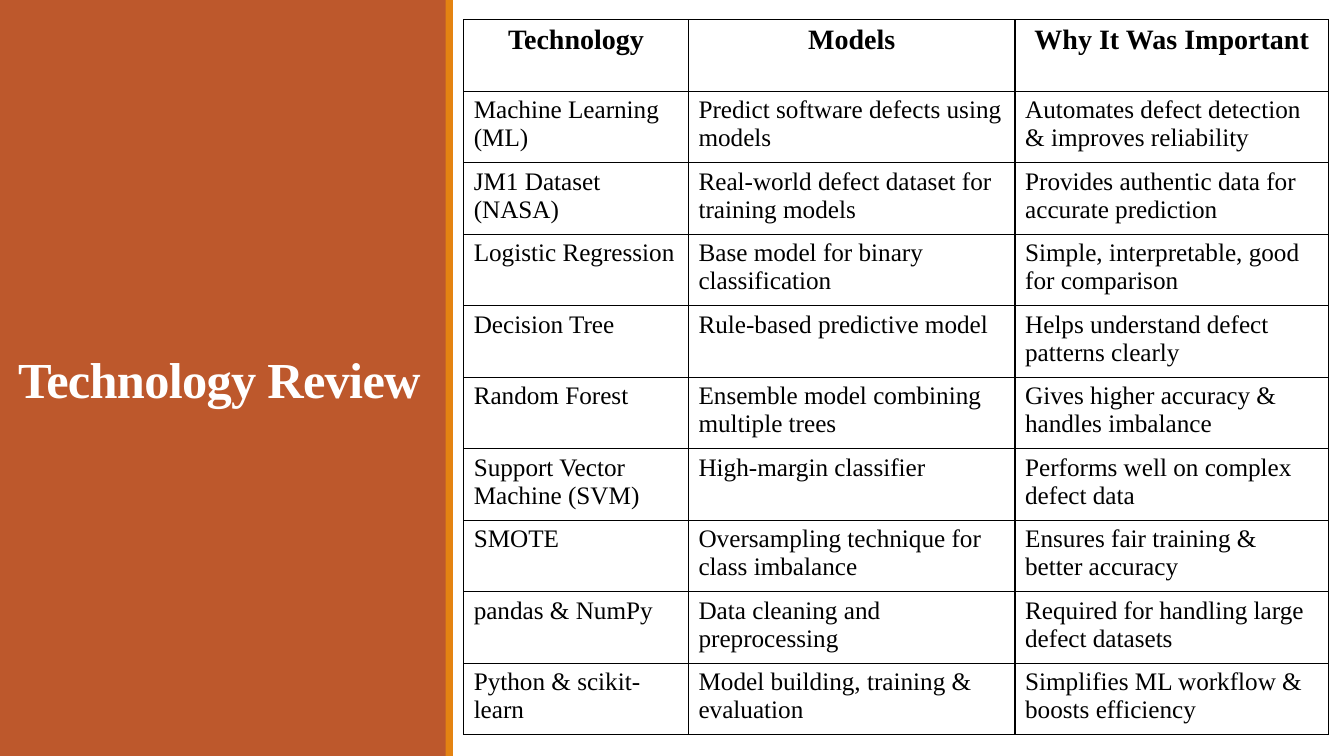
from lxml.etree import SubElement
from pptx import Presentation
from pptx.dml.color import RGBColor
from pptx.enum.shapes import MSO_SHAPE
from pptx.enum.text import MSO_ANCHOR, PP_ALIGN
from pptx.oxml import parse_xml
from pptx.oxml.ns import nsdecls, qn
from pptx.util import Pt

TITLE = "Technology Review"
HEADINGS = ("Technology", "Models", "Why It Was Important")
TECHNOLOGIES = [
    ("Machine Learning (ML)", "Predict software defects using models",
     "Automates defect detection & improves reliability"),
    ("JM1 Dataset (NASA)", "Real-world defect dataset for training models",
     "Provides authentic data for accurate prediction"),
    ("Logistic Regression", "Base model for binary classification",
     "Simple, interpretable, good for comparison"),
    ("Decision Tree", "Rule-based predictive model",
     "Helps understand defect patterns clearly"),
    ("Random Forest", "Ensemble model combining multiple trees",
     "Gives higher accuracy & handles imbalance"),
    ("Support Vector Machine (SVM)", "High-margin classifier",
     "Performs well on complex defect data"),
    ("SMOTE", "Oversampling technique for class imbalance",
     "Ensures fair training & better accuracy"),
    ("pandas & NumPy", "Data cleaning and preprocessing",
     "Required for handling large defect datasets"),
    ("Python & scikit-learn", "Model building, training & evaluation",
     "Simplifies ML workflow & boosts efficiency"),
]

RUST = RGBColor(0xBD, 0x58, 0x2C)
ORANGE = RGBColor(0xE4, 0x83, 0x12)
WHITE = RGBColor(0xFF, 0xFF, 0xFF)
BLACK = RGBColor(0, 0, 0)

FONT = "Times New Roman"
TITLE_FORMAT = {"name": FONT, "size": Pt(36), "bold": True}
HEADING_FORMAT = {"name": FONT, "size": Pt(20), "bold": True}
BODY_FORMAT = {"name": FONT, "size": Pt(18), "bold": False}

SLIDE_WIDTH, SLIDE_HEIGHT = 960, 540
PANELS = [(0, 319, RUST), (318.4, 5.2, ORANGE)]
TITLE_BOX = (5.8, 191.5, 313.9, 146.2)
TABLE_LEFT, TABLE_TOP = 331.2, 14.1
COLUMN_WIDTHS = (160.6, 233.3, 223.8)
ROW_HEIGHT = 51.1


def apply_format(font, values, color):
    for attribute, value in values.items():
        setattr(font, attribute, value)
    font.color.rgb = color


def add_panel(slide, left, width, color):
    panel = slide.shapes.add_shape(
        MSO_SHAPE.RECTANGLE, Pt(left), 0, Pt(width), Pt(SLIDE_HEIGHT))
    panel.shadow.inherit = False
    panel.fill.solid()
    panel.fill.fore_color.rgb = color
    panel.line.fill.background()


def add_title(slide):
    frame = slide.shapes.add_textbox(*map(Pt, TITLE_BOX)).text_frame
    frame.word_wrap = True
    frame.vertical_anchor = MSO_ANCHOR.BOTTOM
    frame.margin_bottom = Pt(46)
    paragraph = frame.paragraphs[0]
    paragraph.line_spacing = 0.85
    run = paragraph.add_run()
    run.text = TITLE
    apply_format(run.font, TITLE_FORMAT, WHITE)
    run._r.get_or_add_rPr().set("spc", "-50")


def add_borders(cell):
    """Draw a thin black line on each side; lines must precede the fill."""
    properties = cell._tc.get_or_add_tcPr()
    for index, side in enumerate(("lnL", "lnR", "lnT", "lnB")):
        line = parse_xml(f'<a:{side} {nsdecls("a")} w="{Pt(1)}"/>')
        fill = SubElement(line, qn("a:solidFill"))
        SubElement(fill, qn("a:srgbClr")).set("val", str(BLACK))
        properties.insert(index, line)


def add_technology_table(slide):
    rows = [HEADINGS, *TECHNOLOGIES]
    table = slide.shapes.add_table(
        len(rows), len(HEADINGS), Pt(TABLE_LEFT), Pt(TABLE_TOP),
        Pt(sum(COLUMN_WIDTHS)), Pt(ROW_HEIGHT * len(rows))).table
    table.first_row = table.horz_banding = False
    for column, width in zip(table.columns, COLUMN_WIDTHS):
        column.width = Pt(width)
    for row_index, texts in enumerate(rows):
        table.rows[row_index].height = Pt(ROW_HEIGHT)
        is_heading = row_index == 0
        for column_index, text in enumerate(texts):
            cell = table.cell(row_index, column_index)
            cell.fill.background()
            add_borders(cell)
            paragraph = cell.text_frame.paragraphs[0]
            paragraph.alignment = PP_ALIGN.CENTER if is_heading else PP_ALIGN.LEFT
            run = paragraph.add_run()
            run.text = text
            apply_format(run.font, HEADING_FORMAT if is_heading else BODY_FORMAT, BLACK)


def main():
    presentation = Presentation()
    presentation.slide_width = Pt(SLIDE_WIDTH)
    presentation.slide_height = Pt(SLIDE_HEIGHT)
    slide = presentation.slides.add_slide(presentation.slide_layouts[6])
    for panel in PANELS:
        add_panel(slide, *panel)
    add_title(slide)
    add_technology_table(slide)
    presentation.save("out.pptx")


if __name__ == "__main__":
    main()
